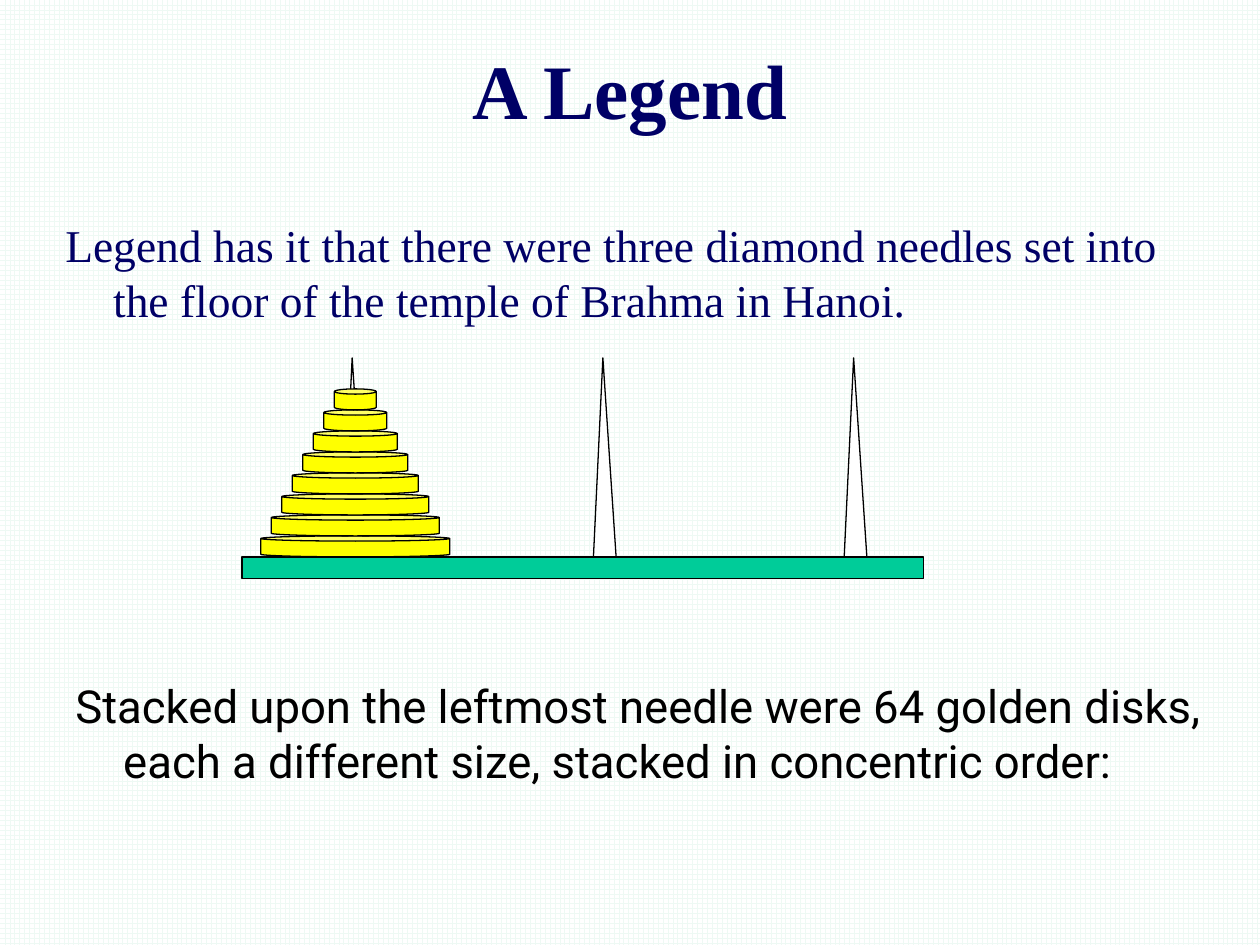
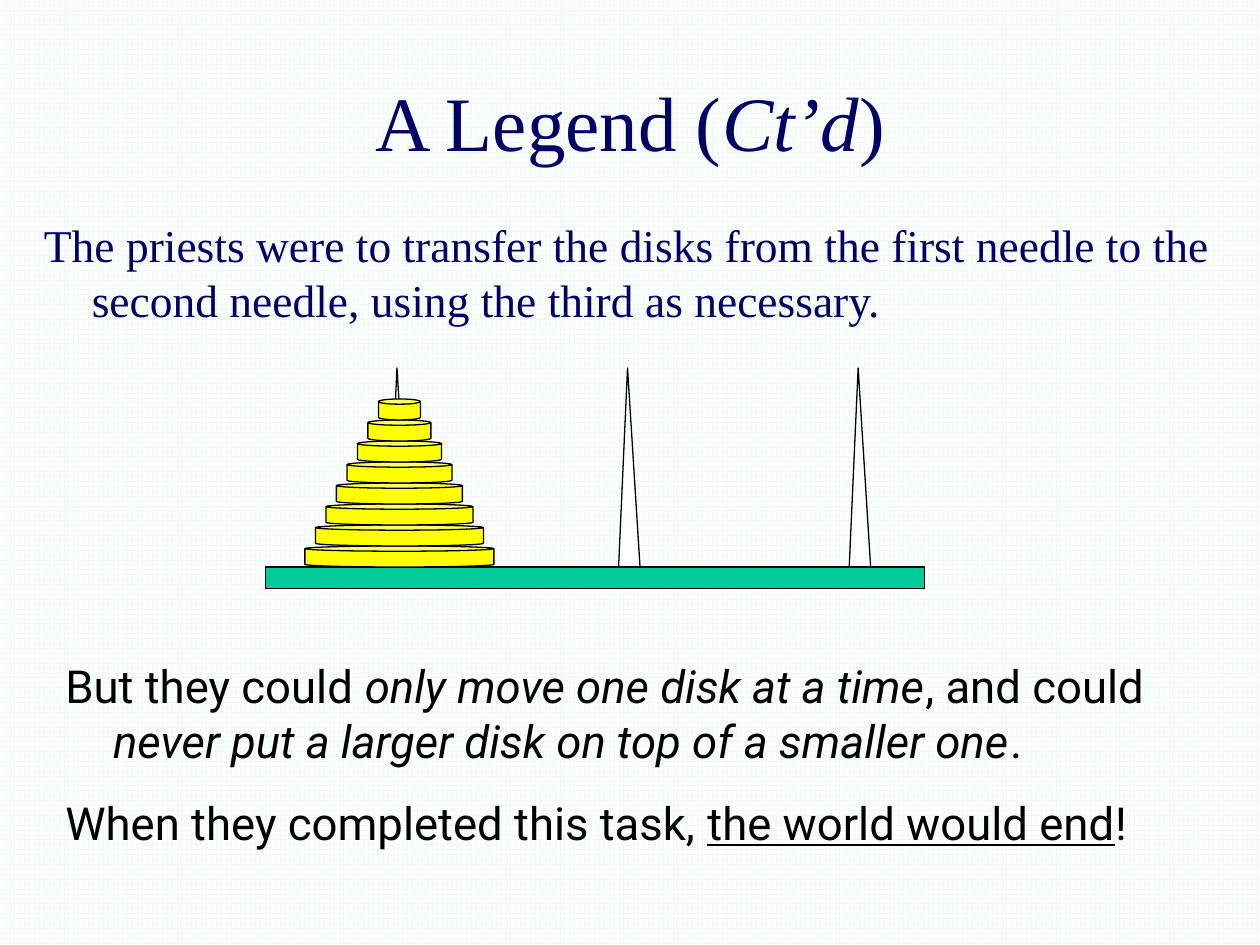
from dataclasses import dataclass

from pptx import Presentation
from pptx.dml.color import RGBColor
from pptx.enum.dml import MSO_PATTERN
from pptx.enum.shapes import MSO_SHAPE
from pptx.enum.text import MSO_ANCHOR, MSO_AUTO_SIZE, PP_ALIGN
from pptx.util import Inches, Pt

# Shared style
NAVY, BLACK, WHITE = "000066", "000000", "FFFFFF"
GOLD, GREEN, GRID = "FFFF00", "00CC99", "EEF9F4"
SERIF, SANS = "Times New Roman", "Roboto"
TITLE_SIZE, TEXT_SIZE = Pt(44), Pt(26)
LINE_PITCH, PARAGRAPH_GAP = Pt(31.4), Pt(15.6)
HANGING = Inches(0.38)

# Shared tower proportions, in inches
NEEDLE_COUNT, NEEDLE_HEIGHT, NEEDLE_PEAK = 3, 1.58, 0.417
DISK_COUNT, DISK_STEP, WIDEST_DISK = 8, 1 / 6, 1.5
FLOOR_HEIGHT = 0.17


@dataclass
class Span:
    text: str
    italic: bool = False
    underline: bool = False


@dataclass
class TextBlock:
    left: float
    top: float
    width: float
    font: str
    color: str
    paragraphs: list[list[Span]]


@dataclass
class Tower:
    floor_left: float
    floor_top: float
    floor_width: float
    needle_left: float
    needle_width: float
    needle_pitch: float
    disk_center: float


@dataclass
class LegendPage:
    title: list[Span]
    title_height: float
    title_bold: bool
    blocks: list[TextBlock]
    tower: Tower


def rgb(color: str) -> RGBColor:
    return RGBColor.from_string(color)


def add_spans(para, spans: list[Span], font: str, size: Pt, color: str) -> None:
    para.font.name = font
    para.font.size = size
    para.font.color.rgb = rgb(color)
    for span in spans:
        run = para.add_run()
        run.text = span.text
        if span.italic:
            run.font.italic = True
        if span.underline:
            run.font.underline = True


def add_title(page, content: LegendPage) -> None:
    title = page.shapes.title
    title.left, title.top = Inches(1), Inches(0.33)
    title.width, title.height = Inches(8), Inches(content.title_height)
    frame = title.text_frame
    frame.auto_size = MSO_AUTO_SIZE.NONE
    frame.vertical_anchor = MSO_ANCHOR.MIDDLE
    para = frame.paragraphs[0]
    para.alignment = PP_ALIGN.CENTER
    add_spans(para, content.title, SERIF, TITLE_SIZE, NAVY)
    para.font.bold = content.title_bold


def add_text(page, block: TextBlock) -> None:
    box = page.shapes.add_textbox(
        Inches(block.left), Inches(block.top), Inches(block.width), Inches(1))
    frame = box.text_frame
    frame.word_wrap = True
    for index, spans in enumerate(block.paragraphs):
        para = frame.add_paragraph() if index else frame.paragraphs[0]
        properties = para._p.get_or_add_pPr()
        properties.set("marL", str(HANGING))
        properties.set("indent", str(-HANGING))
        para.line_spacing = LINE_PITCH
        if index:
            para.space_before = PARAGRAPH_GAP
        add_spans(para, spans, block.font, TEXT_SIZE, block.color)


def add_part(page, kind: MSO_SHAPE, left: float, top: float,
             width: float, height: float, color: str):
    part = page.shapes.add_shape(
        kind, Inches(left), Inches(top), Inches(width), Inches(height))
    part.shadow.inherit = False
    part.fill.solid()
    part.fill.fore_color.rgb = rgb(color)
    part.line.color.rgb = rgb(BLACK)
    part.line.width = Pt(0.75)
    return part


def add_tower(page, tower: Tower) -> None:
    # Needles
    for index in range(NEEDLE_COUNT):
        needle = add_part(
            page, MSO_SHAPE.ISOSCELES_TRIANGLE,
            tower.needle_left + index * tower.needle_pitch,
            tower.floor_top - NEEDLE_HEIGHT,
            tower.needle_width, NEEDLE_HEIGHT, WHITE)
        needle.adjustments[0] = NEEDLE_PEAK
    # Floor
    add_part(page, MSO_SHAPE.RECTANGLE, tower.floor_left, tower.floor_top,
             tower.floor_width, FLOOR_HEIGHT, GREEN)
    # Disks, from the widest up
    for index in range(DISK_COUNT):
        width = WIDEST_DISK - index * DISK_STEP
        add_part(page, MSO_SHAPE.CAN, tower.disk_center - width / 2,
                 tower.floor_top - (index + 1) * DISK_STEP,
                 width, DISK_STEP, GOLD)


PAGES = [
    LegendPage(
        title=[Span("A Legend")], title_height=0.75, title_bold=True,
        blocks=[
            TextBlock(0.42, 1.67, 9.33, SERIF, NAVY, [[Span(
                "Legend has it that there were three diamond needles set into "
                "the floor of the temple of Brahma in Hanoi.")]]),
            TextBlock(0.5, 5.33, 9.33, SANS, BLACK, [[Span(
                "Stacked upon the leftmost needle were 64 golden disks, "
                "each a different size, stacked in concentric order:")]]),
        ],
        tower=Tower(floor_left=1.92, floor_top=4.42, floor_width=5.41,
                    needle_left=2.72, needle_width=0.18, needle_pitch=1.99,
                    disk_center=2.82),
    ),
    LegendPage(
        title=[Span("A Legend ("), Span("Ct’d", italic=True), Span(")")],
        title_height=1.25, title_bold=False,
        blocks=[
            TextBlock(0.25, 1.67, 9.58, SERIF, NAVY, [[Span(
                "The priests were to transfer the disks from the first needle "
                "to the second needle, using the third as necessary.")]]),
            TextBlock(0.42, 5.17, 9.33, SANS, BLACK, [
                [Span("But they could "),
                 Span("only move one disk at a time", italic=True),
                 Span(", and could "),
                 Span("never put a larger disk on top of a smaller one",
                      italic=True),
                 Span(".")],
                [Span("When they completed this task, "),
                 Span("the world would end", underline=True),
                 Span("!")],
            ]),
        ],
        tower=Tower(floor_left=2.11, floor_top=4.5, floor_width=5.23,
                    needle_left=3.08, needle_width=0.17, needle_pitch=1.83,
                    disk_center=3.17),
    ),
]


def main() -> None:
    deck = Presentation()
    deck.slide_width, deck.slide_height = Inches(10), Inches(7.5)

    # Grid background for every page
    backdrop = deck.slide_master.background.fill
    backdrop.patterned()
    backdrop.pattern = MSO_PATTERN.LARGE_GRID
    backdrop.fore_color.rgb = rgb(GRID)
    backdrop.back_color.rgb = rgb(WHITE)

    title_only = deck.slide_layouts.get_by_name("Title Only")
    for content in PAGES:
        page = deck.slides.add_slide(title_only)
        add_title(page, content)
        for block in content.blocks:
            add_text(page, block)
        add_tower(page, content.tower)

    deck.save("out.pptx")


if __name__ == "__main__":
    main()
